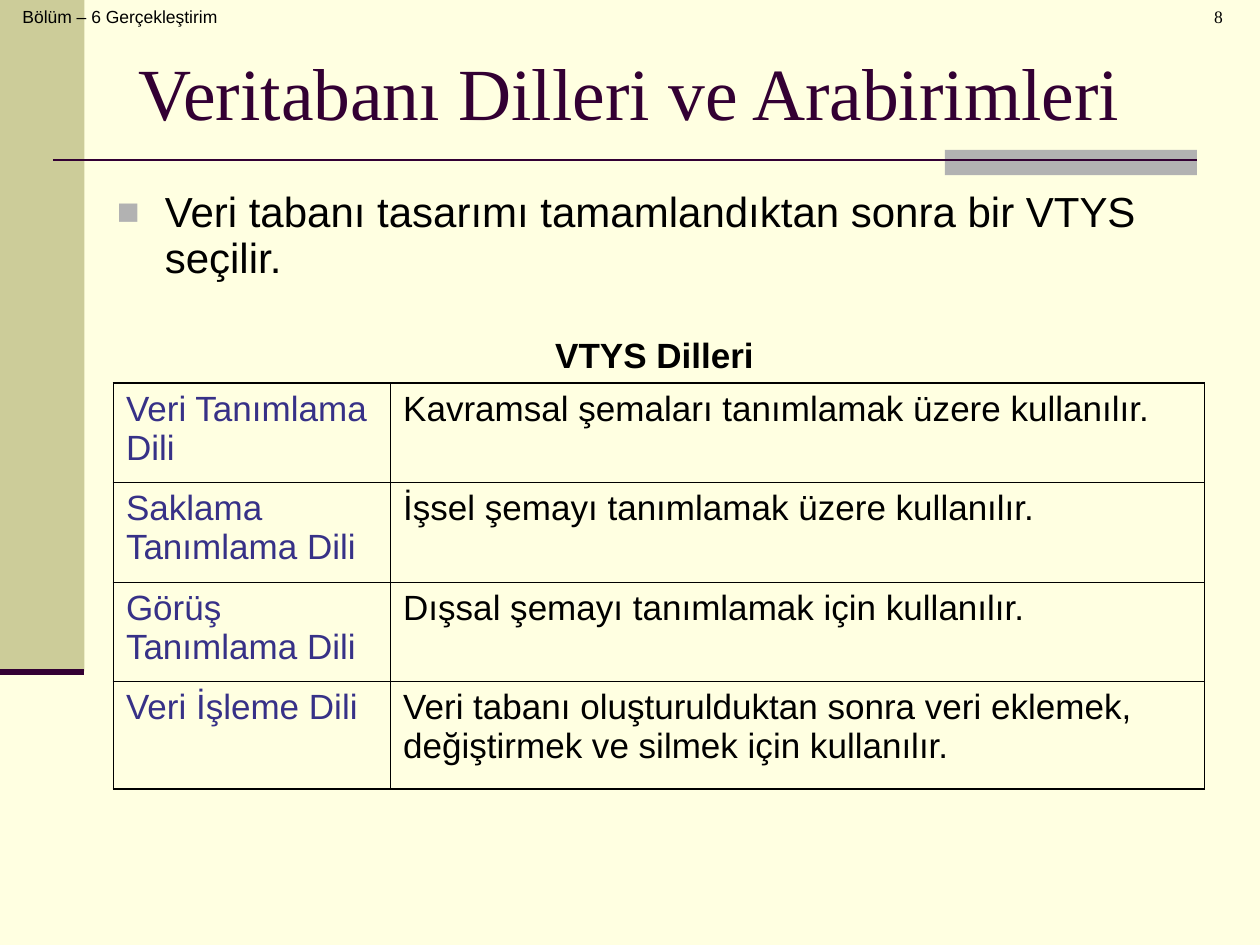
"""Build a slide on database languages with a bullet and a two-column table."""
from lxml import etree
from pptx import Presentation
from pptx.dml.color import RGBColor
from pptx.enum import shapes, text
from pptx.oxml import parse_xml
from pptx.oxml.ns import nsdecls, qn
from pptx.util import Inches, Pt


def rgb(value):
    return RGBColor.from_string(value)


def write(paragraph, words, size, color="000000", font="Arial", bold=False):
    paragraph.text = words
    for run in paragraph.runs:
        run.font.size = Pt(size)
        run.font.name = font
        run.font.bold = bold
        run.font.color.rgb = rgb(color)


deck = Presentation()
deck.slide_width, deck.slide_height = Inches(10), Inches(7.5)
slide = deck.slides.add_slide(deck.slide_layouts[6])
slide.background.fill.solid()
slide.background.fill.fore_color.rgb = rgb("FFFFE1")

for left, top, width, height, color in [
    (0, 0, 0.67, 5.33, "CCCC99"),
    (7.5, 1.19, 2, 0.2, "B2B2B2"),
]:
    band = slide.shapes.add_shape(
        shapes.MSO_SHAPE.RECTANGLE, Inches(left), Inches(top), Inches(width), Inches(height))
    band.shadow.inherit = False
    band.fill.solid()
    band.fill.fore_color.rgb = rgb(color)
    band.line.fill.background()

for start, end, y, weight in [(0.42, 9.5, 1.27, 1.5), (0, 0.67, 5.33, 3.5)]:
    rule = slide.shapes.add_connector(
        shapes.MSO_CONNECTOR.STRAIGHT, Inches(start), Inches(y), Inches(end), Inches(y))
    rule.line.color.rgb = rgb("330033")
    rule.line.width = Pt(weight)
    etree.SubElement(rule._element.spPr, qn("a:effectLst"))

frames = []
for left, top, width, height in [
    (0.08, 0, 1.85, 0.5),
    (1, 0.3, 8.5, 0.85),
    (0.83, 1.47, 8.73, 1.65),
    (9.06, 0, 0.98, 0.5),
]:
    frame = slide.shapes.add_textbox(
        Inches(left), Inches(top), Inches(width), Inches(height)).text_frame
    frame.word_wrap = True
    frames.append(frame)
chapter, title, body, number = frames

write(chapter.paragraphs[0], "Bölüm – 6 Gerçekleştirim", 10)

title.vertical_anchor = text.MSO_ANCHOR.MIDDLE
write(title.paragraphs[0], "Veritabanı Dilleri ve Arabirimleri", 42, "330033", "Times New Roman")

statement = body.paragraphs[0]
indent = statement._p.get_or_add_pPr()
indent.set("marL", str(Inches(0.38)))
indent.set("indent", str(Inches(-0.38)))
for bullet in [
    '<a:buClr {}><a:srgbClr val="B2B2B2"/></a:buClr>',
    '<a:buSzPct {} val="90000"/>',
    '<a:buFont {} typeface="Arial"/>',
    '<a:buChar {} char="■"/>',
]:
    indent.append(parse_xml(bullet.format(nsdecls("a"))))
statement.line_spacing = 0.9
write(statement, "Veri tabanı tasarımı tamamlandıktan sonra bir VTYS seçilir.", 24)

caption = body.add_paragraph()
caption.alignment = text.PP_ALIGN.CENTER
caption.line_spacing = 0.9
caption.space_before = Pt(32)
write(caption, "VTYS Dilleri", 20, bold=True)

number.paragraphs[0].alignment = text.PP_ALIGN.CENTER
number.paragraphs[0]._p.get_or_add_pPr().set("marL", str(Inches(0.24)))
write(number.paragraphs[0], "8", 10, font="Times New Roman")

languages = [
    ("Veri Tanımlama Dili", "Kavramsal şemaları tanımlamak üzere kullanılır."),
    ("Saklama Tanımlama Dili", "İşsel şemayı tanımlamak üzere kullanılır."),
    ("Görüş Tanımlama Dili", "Dışsal şemayı tanımlamak için kullanılır."),
    ("Veri İşleme Dili",
     "Veri tabanı oluşturulduktan sonra veri eklemek, değiştirmek ve silmek için kullanılır."),
]
table = slide.shapes.add_table(
    4, 2, Inches(0.9), Inches(3.04), Inches(8.66), Inches(3.22)).table
table.first_row = table.horz_banding = False
for column, width in zip(table.columns, [2.2, 6.46]):
    column.width = Inches(width)
for row, height in zip(table.rows, [0.79, 0.79, 0.79, 0.85]):
    row.height = Inches(height)

for r, language in enumerate(languages):
    for c, (words, color) in enumerate(zip(language, ["373187", "000000"])):
        cell = table.cell(r, c)
        write(cell.text_frame.paragraphs[0], words, 20, color)
        cell.fill.background()
        outer = {"L": c == 0, "R": c == 1, "T": r == 0, "B": r == 3}
        for position, (side, is_outer) in enumerate(outer.items()):
            weight = Pt(1.08 if is_outer else 0.45)
            cell._tc.get_or_add_tcPr().insert(position, parse_xml(
                f'<a:ln{side} {nsdecls("a")} w="{weight}"><a:solidFill>'
                f'<a:srgbClr val="000000"/></a:solidFill></a:ln{side}>'))

deck.save("out.pptx")
